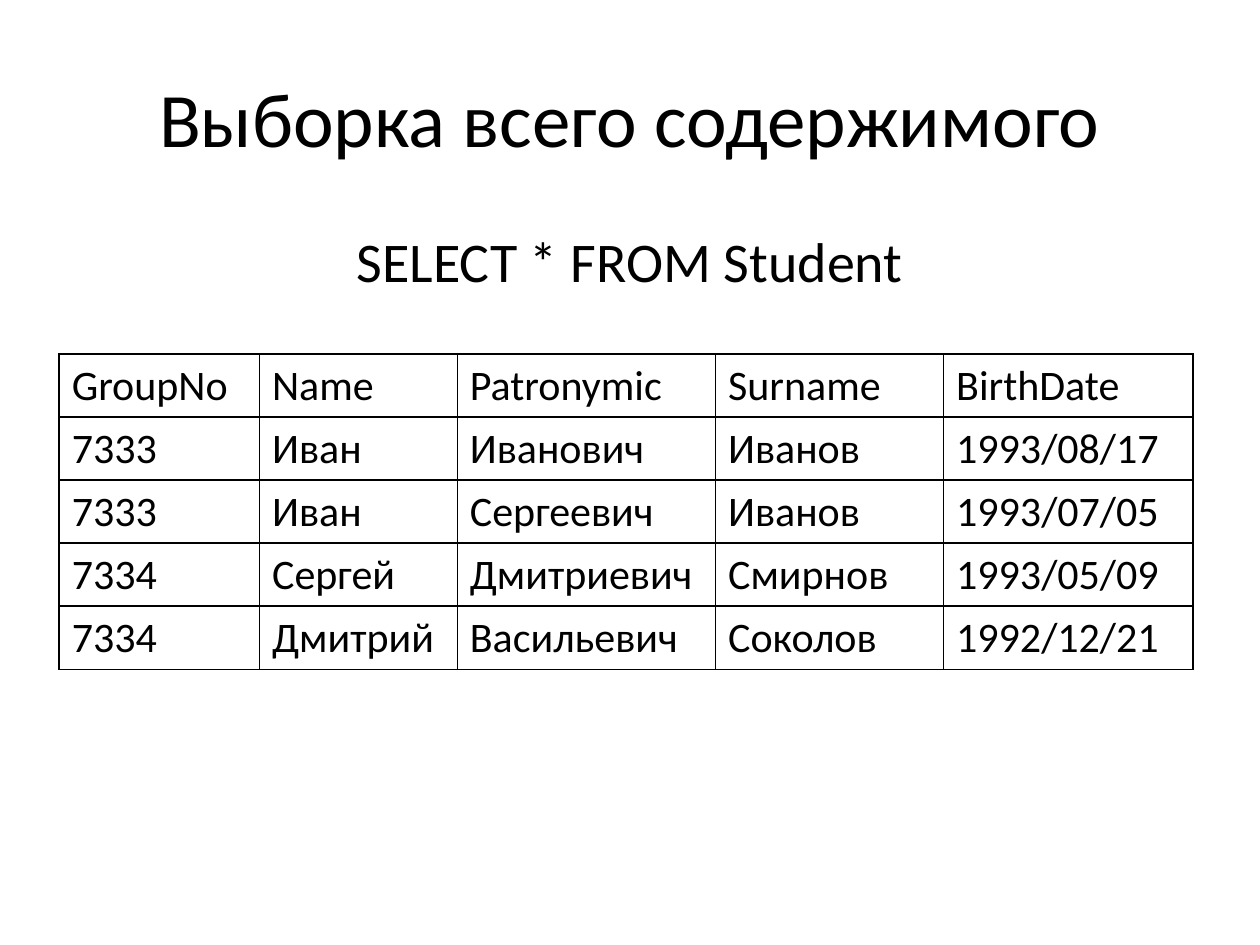
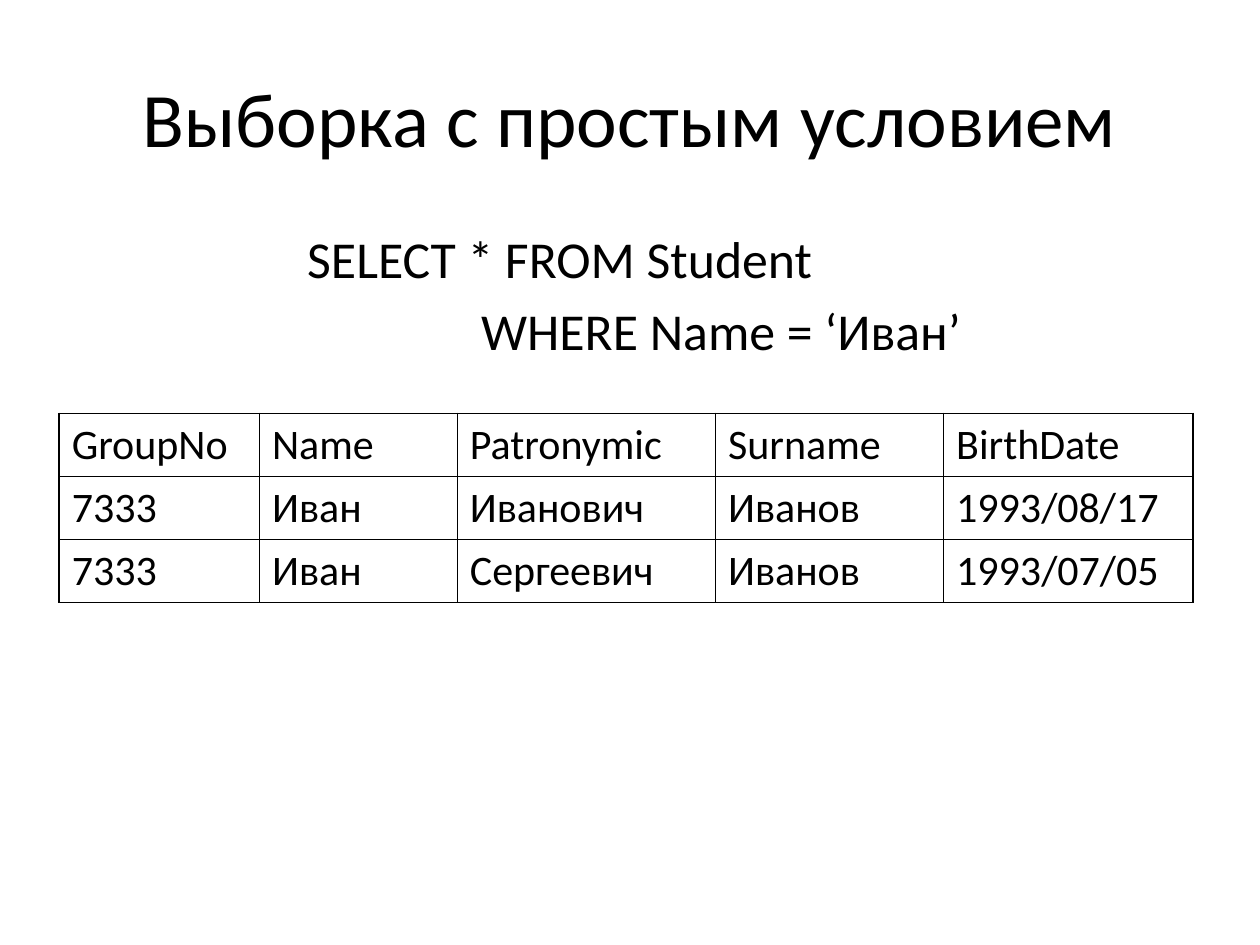
"""Build two slides that show SQL selections from a Student table."""
from dataclasses import dataclass

from pptx import Presentation
from pptx.dml.color import RGBColor
from pptx.enum import text
from pptx.oxml import parse_xml
from pptx.oxml.ns import nsdecls
from pptx.slide import Slide
from pptx.util import Inches, Pt

BLACK = RGBColor(0x00, 0x00, 0x00)
WHITE = RGBColor(0xFF, 0xFF, 0xFF)
FONT = "Calibri"
EDGE = 0.5
WIDE = 9
ROW = 0.5
COLS = (1.59, 1.57, 2.05, 1.81, 1.98)
HEAD = ("GroupNo", "Name", "Patronymic", "Surname", "BirthDate")
IVANS = (
    ("7333", "Иван", "Иванович", "Иванов", "1993/08/17"),
    ("7333", "Иван", "Сергеевич", "Иванов", "1993/07/05"),
)
OTHERS = (
    ("7334", "Сергей", "Дмитриевич", "Смирнов", "1993/05/09"),
    ("7334", "Дмитрий", "Васильевич", "Соколов", "1992/12/21"),
)


@dataclass(frozen=True)
class Label:
    """A text box with one size; later lines are indented by step."""
    lines: tuple[str, ...]
    left: float
    top: float
    width: float
    height: float
    size: float
    align: text.PP_ALIGN = text.PP_ALIGN.CENTER
    anchor: text.MSO_ANCHOR = text.MSO_ANCHOR.TOP
    step: float = 0


@dataclass(frozen=True)
class Query:
    """One slide: its title, SQL text and result rows."""
    title: str
    sql: Label
    top: float
    rows: tuple[tuple[str, ...], ...]


QUERIES = (
    Query(
        "Выборка всего содержимого",
        Label(("SELECT * FROM Student",), EDGE, 1.75, WIDE, 0.74, 32),
        2.81, IVANS + OTHERS,
    ),
    Query(
        "Выборка с простым условием",
        Label(("SELECT * FROM Student", "WHERE Name = ‘Иван’"),
              2.34, 1.75, 7.16, 1.14, 29.6, text.PP_ALIGN.LEFT, step=1.38),
        3.28, IVANS,
    ),
)


def style(para, size: float) -> None:
    """Give every run of a paragraph the deck's font."""
    for run in para.runs:
        run.font.name = FONT
        run.font.size = Pt(size)
        run.font.color.rgb = BLACK


def write(slide: Slide, label: Label) -> None:
    """Draw a label."""
    box = slide.shapes.add_textbox(
        Inches(label.left), Inches(label.top), Inches(label.width), Inches(label.height))
    frame = box.text_frame
    frame.word_wrap = True
    frame.vertical_anchor = label.anchor
    frame.text = "\n".join(label.lines)
    for i, para in enumerate(frame.paragraphs):
        para.alignment = label.align
        if i:
            para.space_before = Pt(5.6)
            para._p.get_or_add_pPr().set("marL", str(Inches(label.step)))
        style(para, label.size)


def rule(cell) -> None:
    """Put a thin black border on all sides of a cell."""
    props = cell._tc.get_or_add_tcPr()
    for i, side in enumerate("LRTB"):
        props.insert(i, parse_xml(
            f'<a:ln{side} {nsdecls("a")} w="{Pt(1)}"><a:solidFill>'
            f'<a:srgbClr val="{BLACK}"/></a:solidFill></a:ln{side}>'))


def grid(slide: Slide, top: float, rows: tuple[tuple[str, ...], ...]) -> None:
    """Draw the result table under its heading row."""
    data = (HEAD, *rows)
    table = slide.shapes.add_table(
        len(data), len(COLS), Inches(0.47), Inches(top),
        Inches(sum(COLS)), Inches(ROW * len(data))).table
    table.first_row = table.horz_banding = False
    for col, width in zip(table.columns, COLS):
        col.width = Inches(width)
    for r, row in enumerate(data):
        for c, value in enumerate(row):
            cell = table.cell(r, c)
            cell.text_frame.text = value
            style(cell.text_frame.paragraphs[0], 24)
            cell.fill.background()
            rule(cell)


def main() -> None:
    """Build and save the deck."""
    deck = Presentation()
    deck.slide_width, deck.slide_height = Inches(10), Inches(7.5)
    for query in QUERIES:
        slide = deck.slides.add_slide(deck.slide_layouts[6])
        slide.background.fill.solid()
        slide.background.fill.fore_color.rgb = WHITE
        write(slide, Label((query.title,), EDGE, 0.3, WIDE, 1.25, 44,
                           anchor=text.MSO_ANCHOR.MIDDLE))
        write(slide, query.sql)
        grid(slide, query.top, query.rows)
    deck.save("out.pptx")


if __name__ == "__main__":
    main()
